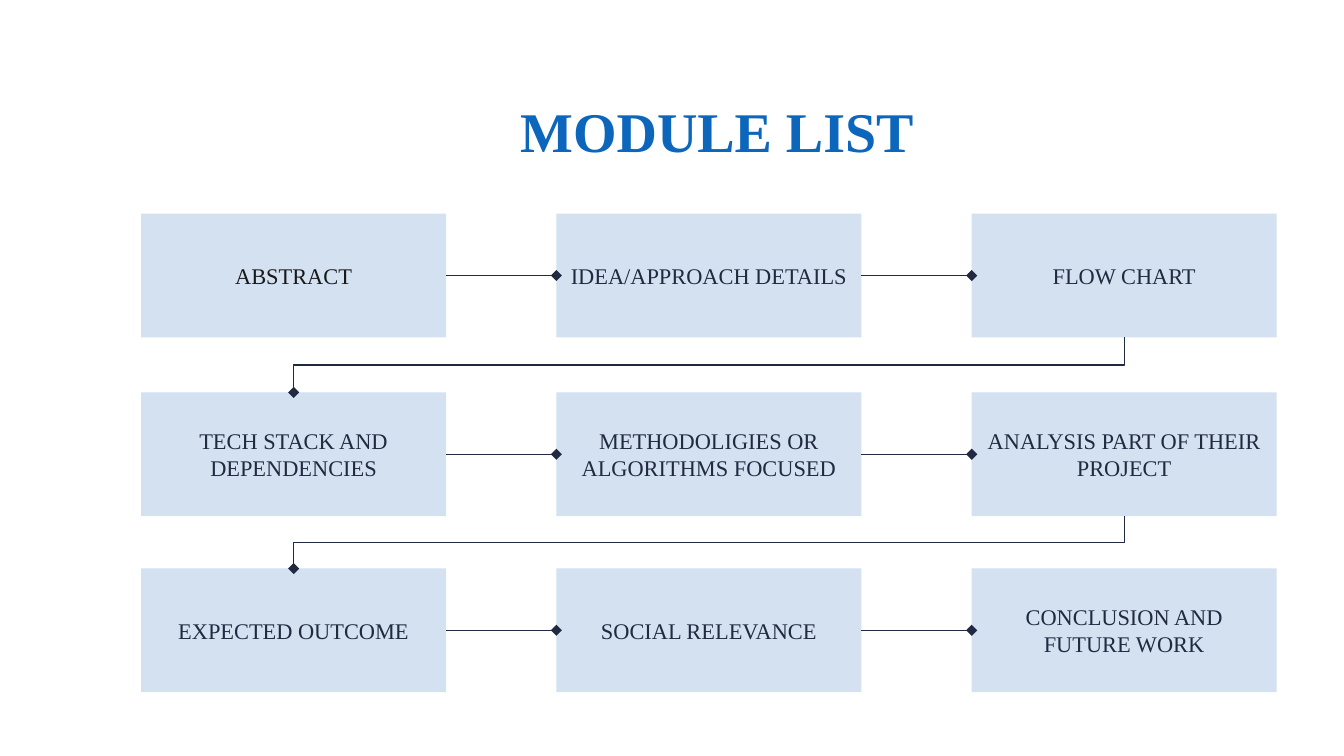
from pptx import Presentation
from pptx.dml.color import RGBColor
from pptx.enum.shapes import MSO_CONNECTOR as Link, MSO_SHAPE as Shape
from pptx.enum.text import MSO_ANCHOR as Anchor, PP_ALIGN as Align
from pptx.oxml.ns import qn
from pptx.util import Inches, Pt
from lxml.etree import SubElement

FONT = "Times New Roman"
INK = "202A41"
BOX_WIDTH, BOX_HEIGHT = 2.27, 0.92
COLUMN_STEP = 3.09
ROW_OFFSETS = (0, 1.33, 2.64)
MODULES = (
    ("ABSTRACT", "IDEA/APPROACH DETAILS", "FLOW CHART"),
    ("TECH STACK AND DEPENDENCIES", "METHODOLIGIES OR ALGORITHMS FOCUSED",
     "ANALYSIS PART OF THEIR PROJECT"),
    ("EXPECTED OUTCOME", "SOCIAL RELEVANCE", "CONCLUSION AND FUTURE WORK"),
)


def color(value):
    return RGBColor.from_string(value)


def write(shape, text, size=12, ink=INK, bold=False):
    frame = shape.text_frame
    frame.word_wrap = True
    frame.vertical_anchor = Anchor.MIDDLE
    frame.margin_left = frame.margin_right = Inches(0.1)
    frame.margin_top = frame.margin_bottom = Inches(0.1)
    para = frame.paragraphs[0]
    para.alignment = Align.CENTER
    span = para.add_run()
    span.text = text
    span.font.name = FONT
    span.font.size = Pt(size)
    span.font.bold = bold
    span.font.color.rgb = color(ink)


def style_connector(connector):
    connector.line.color.rgb = color(INK)
    connector.line.width = Pt(0.75)
    properties = connector.element.spPr
    SubElement(properties.find(qn("a:ln")), qn("a:tailEnd"), type="diamond")
    SubElement(properties, qn("a:effectLst"))


def join_side(page, source, target):
    connector = page.shapes.add_connector(Link.STRAIGHT, 0, 0, 0, 0)
    connector.begin_connect(source, 3)
    connector.end_connect(target, 1)
    style_connector(connector)


def join_down(page, source, target):
    start_x = source.left + source.width // 2
    end_x = target.left + target.width // 2
    start_y, end_y = source.top + source.height, target.top
    center_x, center_y = (start_x + end_x) // 2, (start_y + end_y) // 2
    half_drop, half_span = (end_y - start_y) // 2, (start_x - end_x) // 2
    connector = page.shapes.add_connector(
        Link.ELBOW, center_x - half_drop, center_y - half_span,
        center_x + half_drop, center_y + half_span)
    connector.element.spPr.find(qn("a:xfrm")).set("rot", str(90 * 60000))
    style_connector(connector)


def add_module(page, text, left, top, ink):
    box = page.shapes.add_shape(Shape.RECTANGLE, Inches(left), Inches(top),
                                Inches(BOX_WIDTH), Inches(BOX_HEIGHT))
    box.shadow.inherit = False
    box.fill.solid()
    box.fill.fore_color.rgb = color("D3E1F1")
    box.line.fill.background()
    write(box, text, ink=ink)
    return box


def add_title(page, text, left, top, width, height):
    title = page.shapes.title
    title.left, title.top = Inches(left), Inches(top)
    title.width, title.height = Inches(width), Inches(height)
    write(title, text, size=30, ink="0B66BC", bold=True)


def add_module_flow(page, left, top):
    rows = []
    for offset, names in zip(ROW_OFFSETS, MODULES):
        rows.append([
            add_module(page, name, left + column * COLUMN_STEP, top + offset,
                       "191919" if name == "ABSTRACT" else INK)
            for column, name in enumerate(names)])
    for row in rows:
        for source, target in zip(row, row[1:]):
            join_side(page, source, target)
    for upper, lower in zip(rows, rows[1:]):
        join_down(page, upper[-1], lower[0])


def main():
    deck = Presentation()
    deck.slide_width = Inches(10)
    deck.slide_height = deck.slide_width * 9 // 16
    page = deck.slides.add_slide(deck.slide_layouts[5])
    add_title(page, "MODULE LIST", 1.59, 0.65, 7.49, 0.63)
    add_module_flow(page, 1.05, 1.59)
    deck.save("out.pptx")


if __name__ == "__main__":
    main()
